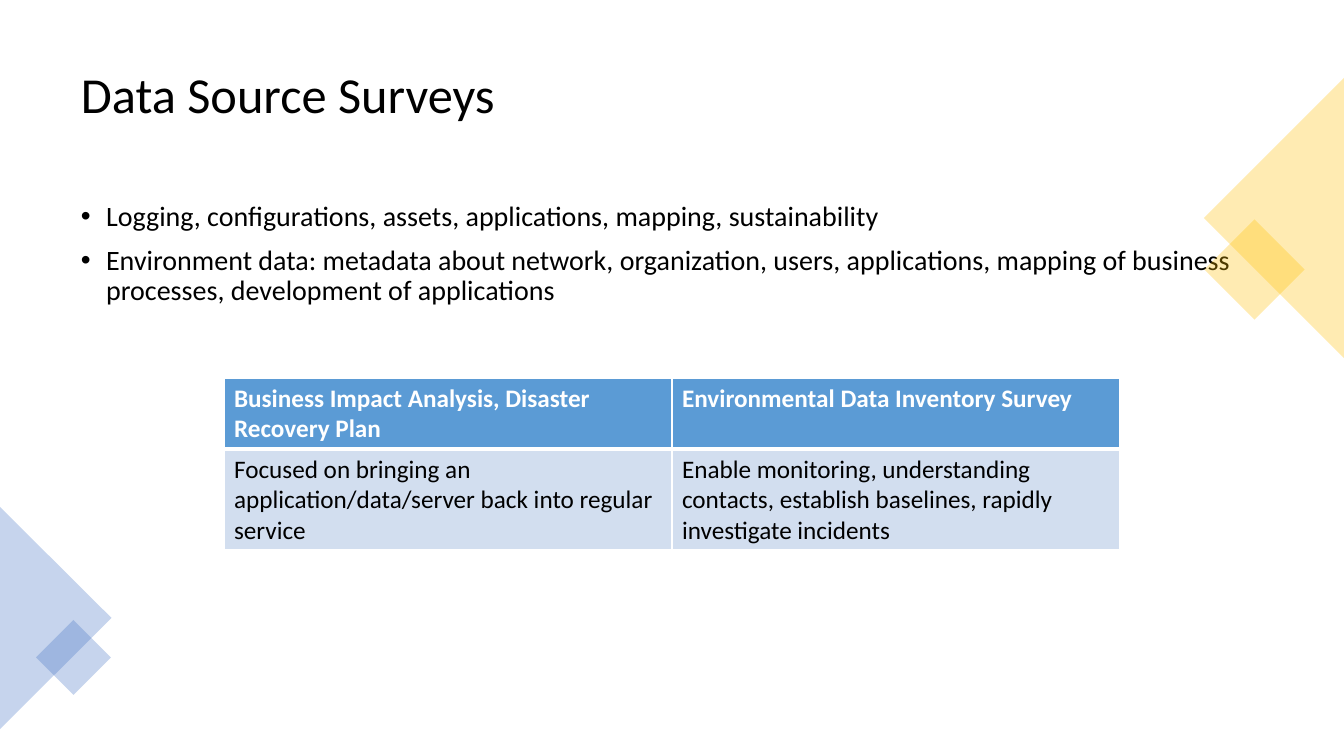
from lxml import etree
from pptx import Presentation
from pptx.dml.color import RGBColor
from pptx.enum.shapes import MSO_SHAPE as SHAPE
from pptx.enum.text import MSO_ANCHOR as ANCHOR
from pptx.oxml.ns import qn
from pptx.util import Pt

SCALE = 914400 / 100.8


def px(*lengths):
    return [round(length * SCALE) for length in lengths]


def paint(target, color):
    """Give a fill or a font colour its hex value."""
    target.rgb = RGBColor.from_string(color)


deck = Presentation()
deck.slide_width, deck.slide_height = px(1344, 756)
slide = deck.slides.add_slide(deck.slide_layouts[6])

# Title and bullet points
heading = ["Data Source Surveys"]
points = [
    "Logging, configurations, assets, applications, mapping, sustainability",
    "Environment data: metadata about network, organization, users, applications, "
    "mapping of business processes, development of applications",
]
for lines, top, height, size, anchor, bulleted in [
    (heading, 35, 125, 36, ANCHOR.MIDDLE, False),
    (points, 197, 485, 20, ANCHOR.TOP, True),
]:
    frame = slide.shapes.add_textbox(*px(71, top, 1203, height)).text_frame
    frame.word_wrap = True
    frame.vertical_anchor = anchor
    frame.text = "\n".join(lines)
    for paragraph in frame.paragraphs:
        paragraph.line_spacing = 0.9
        paragraph.font.size = Pt(size)
        paragraph.font.name = "Calibri"
        paint(paragraph.font.color, "000000")
        if bulleted:
            paragraph.space_before = Pt(10)
            props = paragraph._p.get_or_add_pPr()
            indent = px(25.2)[0]
            props.set("marL", str(indent))
            props.set("indent", str(-indent))
            bullet_font = etree.Element(qn("a:buFont"), typeface="Arial")
            bullet = etree.Element(qn("a:buChar"), char="•")
            props.find(qn("a:spcBef")).addnext(bullet_font)
            bullet_font.addnext(bullet)

# Translucent corner decorations
GOLD, BLUE = "FFC000", "4472C4"
for kind, box, angle, color in [
    (SHAPE.RECTANGLE, (1219, 234, 71, 71), 45, GOLD),
    (SHAPE.ISOSCELES_TRIANGLE, (1134, 148, 280, 140), 270, GOLD),
    (SHAPE.ISOSCELES_TRIANGLE, (-56, 562, 223, 112), 90, BLUE),
    (SHAPE.RECTANGLE, (47, 631, 53, 53), 45, BLUE),
]:
    corner = slide.shapes.add_shape(kind, *px(*box))
    corner.rotation = angle
    corner.shadow.inherit = False
    corner.line.fill.background()
    corner.fill.solid()
    paint(corner.fill.fore_color, color)
    tint = corner._element.spPr.find(qn("a:solidFill"))[0]
    etree.SubElement(tint, qn("a:alpha"), val="30000")

# Survey comparison table
surveys = [
    ["Business Impact Analysis, Disaster Recovery Plan",
     "Environmental Data Inventory Survey"],
    ["Focused on bringing an application/data/server back into regular service",
     "Enable monitoring, understanding contacts, establish baselines, "
     "rapidly investigate incidents"],
]
row_looks = [(71, "5B9BD5", "FFFFFF", True, 3), (101, "D2DEEF", "000000", False, 1)]
table = slide.shapes.add_table(2, 2, *px(224, 378, 896, 172)).table
for r, (height, fill, ink, bold, bottom) in enumerate(row_looks):
    table.rows[r].height = px(height)[0]
    for c, wording in enumerate(surveys[r]):
        cell = table.cell(r, c)
        cell.text = wording
        font = cell.text_frame.paragraphs[0].runs[0].font
        font.size, font.name, font.bold = Pt(18), "Calibri", bold
        paint(font.color, ink)
        cell.fill.solid()
        paint(cell.fill.fore_color, fill)
        # White borders come before the fill in the cell properties
        cell_props = cell._tc.get_or_add_tcPr()
        top = 1 if r == 0 else row_looks[r - 1][-1]
        widths = {"lnL": 1, "lnR": 1, "lnT": top, "lnB": bottom}
        for place, (side, width) in enumerate(widths.items()):
            border = etree.Element(qn(f"a:{side}"), w=str(Pt(width)))
            border_fill = etree.SubElement(border, qn("a:solidFill"))
            etree.SubElement(border_fill, qn("a:srgbClr"), val="FFFFFF")
            cell_props.insert(place, border)

deck.save("out.pptx")
